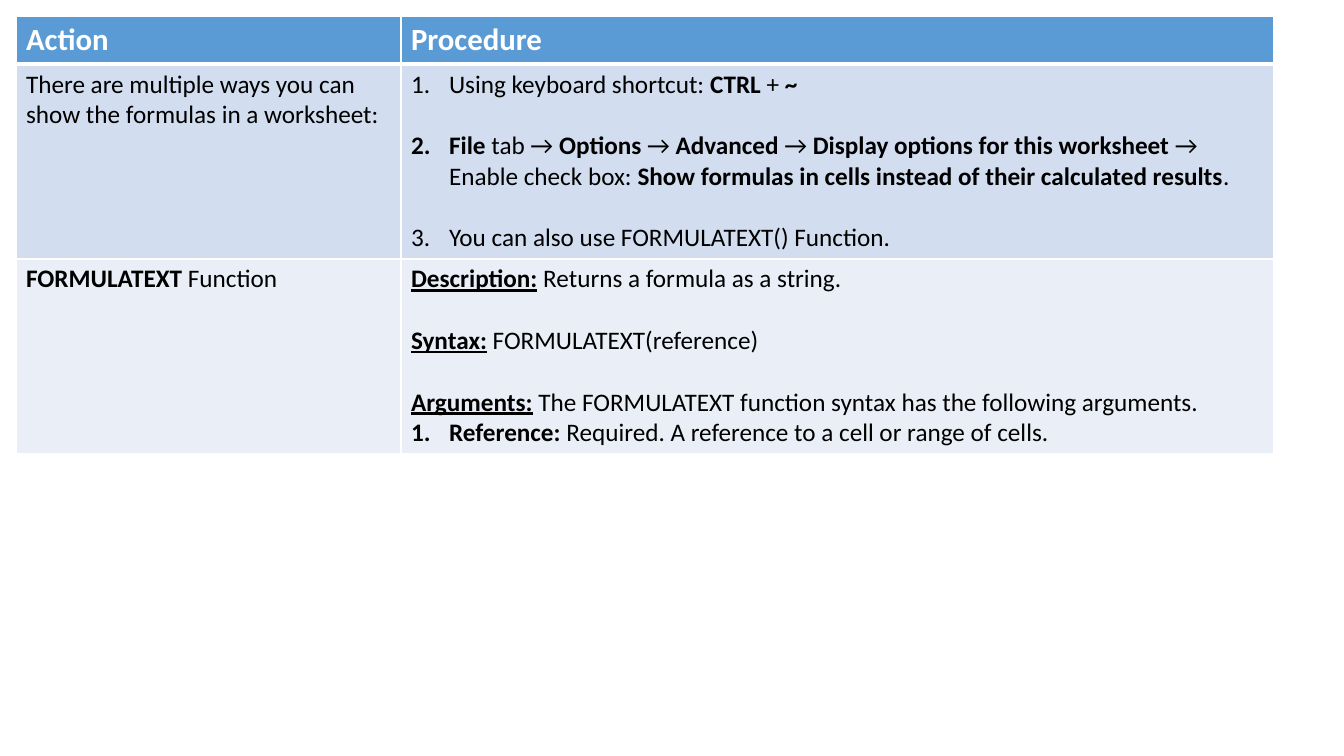
from lxml import etree
from pptx import Presentation
from pptx import util as u
from pptx.dml.color import RGBColor
from pptx.oxml import ns

PX = 914400 / 100.8
WHITE = RGBColor(0xFF, 0xFF, 0xFF)
BLACK = RGBColor(0, 0, 0)
BLUE = RGBColor(0x5B, 0x9B, 0xD5)
PALE_BLUE = RGBColor(0xD2, 0xDE, 0xEF)
ICE_BLUE = RGBColor(0xEA, 0xEF, 0xF7)


def px(length):
    return u.Emu(round(length * PX))


def write(paragraph, text, size=18, color=BLACK, label="", numbered=False, gap=0):
    """Write text, with *bold* parts, after an optional underlined label."""
    if numbered:
        props = paragraph._p.get_or_add_pPr()
        props.set("marL", str(px(38)))
        props.set("indent", str(-px(38)))
        etree.SubElement(props, ns.qn("a:buFont"), typeface="+mj-lt")
        etree.SubElement(props, ns.qn("a:buAutoNum"), type="arabicPeriod")
    if gap:
        paragraph.space_before = u.Pt(gap)
    parts = [(label, True, True)]
    parts += [(part, i % 2 == 1, False) for i, part in enumerate(text.split("*"))]
    for part, bold, underline in parts:
        if part:
            run = paragraph.add_run()
            run.text = part
            font = run.font
            font.name, font.size, font.bold = "Calibri", u.Pt(size), bold
            font.underline = underline
            font.color.rgb = color


class Slide:
    def __init__(self, deck):
        self.slide = deck.slides.add_slide(deck.slide_layouts[6])

    def borders(self, cell, **widths):
        props = cell._tc.get_or_add_tcPr()
        for side in "LRTB":
            line = etree.SubElement(props, ns.qn(f"a:ln{side}"),
                                    w=str(u.Pt(widths.get(side, 1))))
            fill = etree.SubElement(line, ns.qn("a:solidFill"))
            etree.SubElement(fill, ns.qn("a:srgbClr"), val=str(WHITE))

    def table(self, left, top, widths, heights, rows, fills):
        table = self.slide.shapes.add_table(
            len(rows), len(widths), px(left), px(top),
            px(sum(widths)), px(sum(heights))).table
        for column, width in zip(table.columns, widths):
            column.width = px(width)
        for r, (row, height, fill) in enumerate(zip(rows, heights, fills)):
            table.rows[r].height = px(height)
            for c, paragraphs in enumerate(row):
                cell = table.cell(r, c)
                # The header is set off by a thicker rule
                self.borders(cell, **{0: {"B": 3}, 1: {"T": 3}}.get(r, {}))
                cell.fill.solid()
                cell.fill.fore_color.rgb = fill
                frame = cell.text_frame
                for i, (text, style) in enumerate(paragraphs):
                    write(frame.add_paragraph() if i else frame.paragraphs[0],
                          text, **style)


def main():
    deck = Presentation()
    deck.slide_width, deck.slide_height = px(1344), px(756)
    slide = Slide(deck)

    heading = dict(size=22, color=WHITE)
    step = dict(numbered=True)
    spaced_step = dict(numbered=True, gap=22)

    header = [[("*Action*", heading)], [("*Procedure*", heading)]]

    # Ways to show formulas
    show_formulas = [
        [("There are multiple ways you can show the formulas in a worksheet:", {})],
        [("Using keyboard shortcut: *CTRL* + *~*", step),
         ("*File* tab →* Options* → *Advanced* → *Display options for this "
          "worksheet* → Enable check box: *Show formulas in cells instead of "
          "their calculated results*.", spaced_step),
         ("You can also use FORMULATEXT() Function.", spaced_step)],
    ]

    # Function reference
    formulatext = [
        [("*FORMULATEXT* Function", {})],
        [(" Returns a formula as a string.", dict(label="Description:")),
         (" FORMULATEXT(reference)", dict(label="Syntax:", gap=22)),
         (" The FORMULATEXT function syntax has the following arguments.",
          dict(label="Arguments:", gap=22)),
         ("*Reference: *Required. A reference to a cell or range of cells.", step)],
    ]

    slide.table(16, 16, widths=[385, 873], heights=[48, 195, 195],
                rows=[header, show_formulas, formulatext],
                fills=[BLUE, PALE_BLUE, ICE_BLUE])
    deck.save("out.pptx")


if __name__ == "__main__":
    main()
